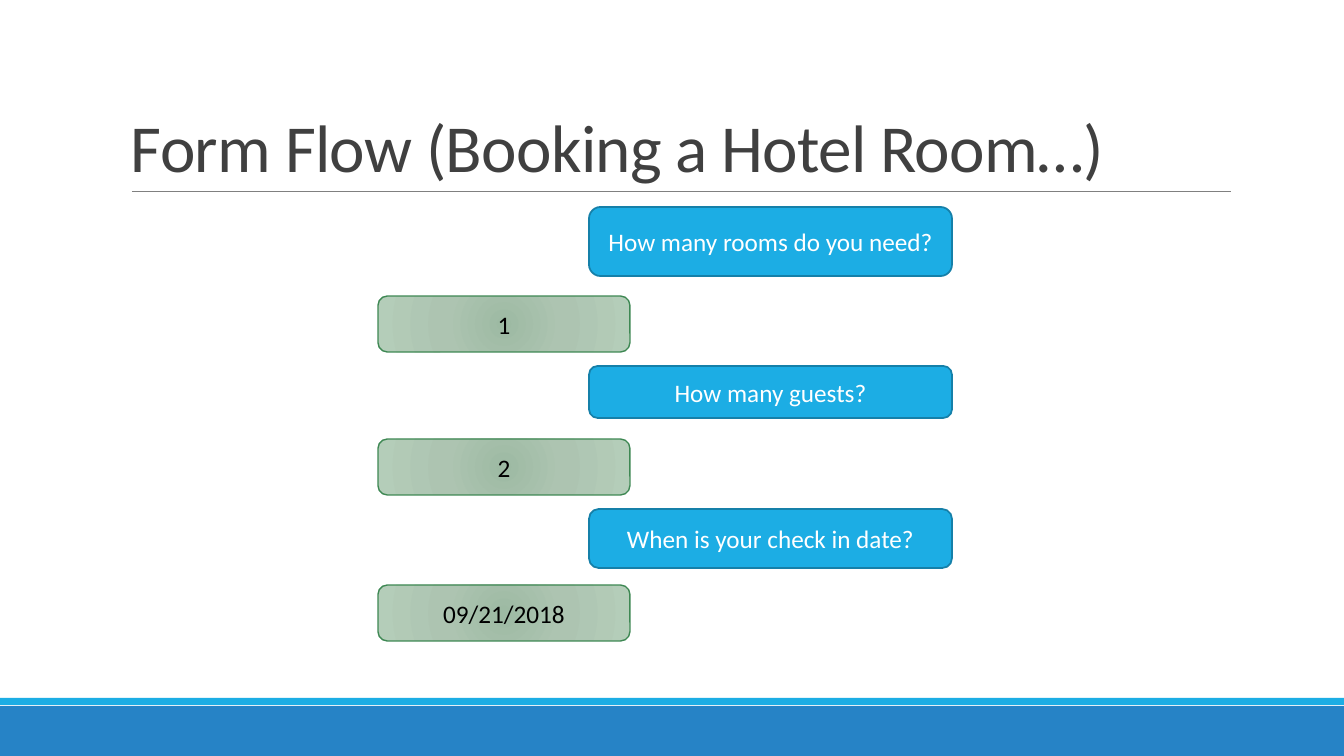
import pptx
import pptx.util
import pptx.oxml
import pptx.oxml.ns
from pptx.dml.color import RGBColor
from pptx.enum.shapes import MSO_CONNECTOR, MSO_SHAPE
from pptx.enum.text import MSO_ANCHOR, PP_ALIGN
from lxml import etree

WIDTH, HEIGHT = 1344, 756
EMU_PER_PX = 12192000 / WIDTH
FONT = "Calibri"
WHITE = RGBColor(0xFF, 0xFF, 0xFF)
BLACK = RGBColor(0x00, 0x00, 0x00)
TITLE_GRAY = RGBColor(0x40, 0x40, 0x40)
RULE_GRAY = RGBColor(0x80, 0x80, 0x80)
FOOTER_BLUE = RGBColor(0x26, 0x83, 0xC6)
BRIGHT_BLUE = RGBColor(0x1C, 0xAD, 0xE4)
QUESTION_LINE = RGBColor(0x15, 0x80, 0xA9)
ANSWER_LINE = RGBColor(0x3E, 0x88, 0x53)
ANSWER_STOPS = [
    (0, RGBColor(0x9D, 0xBA, 0xA3)),
    (45, RGBColor(0xAD, 0xC4, 0xB1)),
    (100, RGBColor(0xB4, 0xCD, 0xB9)),
]


def px(*lengths):
    return [pptx.util.Emu(round(length * EMU_PER_PX)) for length in lengths]


def write_text(shape, text, size, color, anchor, alignment):
    frame = shape.text_frame
    frame.word_wrap = True
    frame.vertical_anchor = anchor
    frame.text = text
    paragraph = frame.paragraphs[0]
    paragraph.alignment = alignment
    font = paragraph.runs[0].font
    font.name = FONT
    font.size = pptx.util.Pt(size)
    font.color.rgb = color
    return paragraph


presentation = pptx.Presentation()
presentation.slide_width, presentation.slide_height = px(WIDTH, HEIGHT)
slide = presentation.slides.add_slide(presentation.slide_layouts[6])

for top, height, color in [(706, 50, FOOTER_BLUE), (698, 7, BRIGHT_BLUE)]:
    bar = slide.shapes.add_shape(MSO_SHAPE.RECTANGLE, *px(0, top, WIDTH, height))
    bar.shadow.inherit = False
    bar.fill.solid()
    bar.fill.fore_color.rgb = color
    bar.line.fill.background()

title_rule = slide.shapes.add_connector(MSO_CONNECTOR.STRAIGHT, *px(132, 191, 1231, 191))
title_rule.line.color.rgb = RULE_GRAY
title_rule.line.width = pptx.util.Pt(0.5)
etree.SubElement(title_rule._element.spPr, pptx.oxml.ns.qn("a:effectLst"))

title = slide.shapes.add_textbox(*px(121, 31, 1109, 160))
title_paragraph = write_text(title, "Form Flow (Booking a Hotel Room…)", 48, TITLE_GRAY,
                             MSO_ANCHOR.BOTTOM, PP_ALIGN.LEFT)
title_paragraph.line_spacing = 0.85
title_paragraph.runs[0].font._element.set("spc", "-50")

stops = "".join(
    f'<a:gs pos="{position * 1000}"><a:srgbClr val="{color}"/></a:gs>'
    for position, color in ANSWER_STOPS
)
answer_gradient = (
    f'<a:gradFill {pptx.oxml.ns.nsdecls("a")} rotWithShape="1"><a:gsLst>{stops}</a:gsLst>'
    '<a:path path="circle"><a:fillToRect l="100000" t="100000" r="100000" b="100000"/>'
    '</a:path></a:gradFill>'
)

messages = [
    ("How many rooms do you need?", True, 207, 69),
    ("1", False, 296, 56),
    ("How many guests?", True, 366, 52),
    ("2", False, 439, 56),
    ("When is your check in date?", True, 509, 59),
    ("09/21/2018", False, 585, 56),
]
for text, is_question, top, height in messages:
    left, width = (589, 363) if is_question else (378, 252)
    bubble = slide.shapes.add_shape(MSO_SHAPE.ROUNDED_RECTANGLE, *px(left, top, width, height))
    bubble.shadow.inherit = False
    if is_question:
        bubble.fill.solid()
        bubble.fill.fore_color.rgb = BRIGHT_BLUE
    else:
        geometry = bubble._element.spPr.find(pptx.oxml.ns.qn("a:prstGeom"))
        geometry.addnext(pptx.oxml.parse_xml(answer_gradient))
    bubble.line.color.rgb = QUESTION_LINE if is_question else ANSWER_LINE
    bubble.line.width = pptx.util.Pt(1.25 if is_question else 1)
    write_text(bubble, text, 18, WHITE if is_question else BLACK,
               MSO_ANCHOR.MIDDLE, PP_ALIGN.CENTER)

presentation.save("out.pptx")
